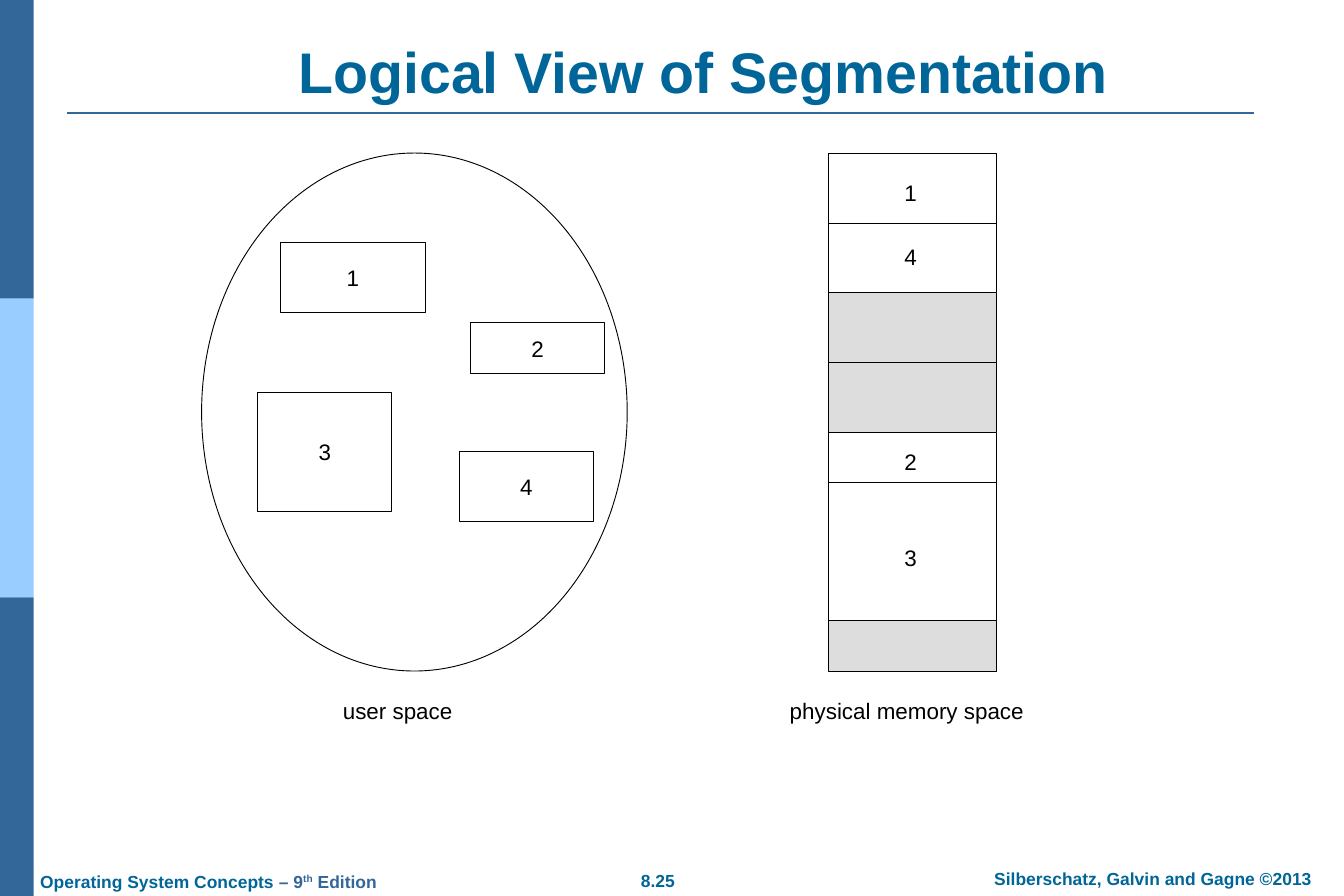
from lxml import etree
from pptx import Presentation
from pptx import util as u
from pptx.dml.color import RGBColor
from pptx.enum import shapes, text
from pptx.oxml.ns import qn

PX = 9525  # 96 px to the inch
NAVY = RGBColor(0x33, 0x66, 0x99)
SKY = RGBColor(0x99, 0xCC, 0xFF)
TEAL = RGBColor(0x00, 0x66, 0x99)
GRAY = RGBColor(0xDD, 0xDD, 0xDD)
WHITE = RGBColor(0xFF, 0xFF, 0xFF)
BLACK = RGBColor(0, 0, 0)

KIND = shapes.MSO_SHAPE
LEFT, CENTER = text.PP_ALIGN.LEFT, text.PP_ALIGN.CENTER
TOP, MIDDLE, BOTTOM = (text.MSO_ANCHOR.TOP, text.MSO_ANCHOR.MIDDLE,
                       text.MSO_ANCHOR.BOTTOM)


def scale(*sizes):
    return [size * PX for size in sizes]


def write(shape, words, size=18, color=BLACK, bold=False, align=CENTER,
          anchor=MIDDLE):
    """Set one line of text in a shape and return its paragraph."""
    frame = shape.text_frame
    frame.word_wrap = False
    frame.vertical_anchor = anchor
    frame.margin_left = frame.margin_right = 13 * PX
    frame.margin_top = frame.margin_bottom = 7 * PX
    para = frame.paragraphs[0]
    para.text = words
    para.alignment = align
    font = para.font
    font.name, font.size, font.bold = "Arial", u.Pt(size), bold
    font.color.rgb = color
    return para


def label(slide, box, words, **style):
    return write(slide.shapes.add_textbox(*scale(*box)), words, **style)


def block(slide, box, fill, edge=BLACK, kind=KIND.RECTANGLE):
    shape = slide.shapes.add_shape(kind, *scale(*box))
    shape.shadow.inherit = False
    shape.fill.solid()
    shape.fill.fore_color.rgb = fill
    if edge is None:
        shape.line.fill.background()
    else:
        shape.line.color.rgb = edge
        shape.line.width = u.Pt(0.75)
    return shape


def rule(slide, x, y, width, color=BLACK, weight=0.75):
    """Draw a level line."""
    line = slide.shapes.add_connector(
        shapes.MSO_CONNECTOR.STRAIGHT, *scale(x, y, x + width, y))
    line.line.color.rgb = color
    line.line.width = u.Pt(weight)
    etree.SubElement(line._element.spPr, qn("a:effectLst"))


def sidebar(slide, x, y, width, height):
    part = height // 3
    for row, color in enumerate((NAVY, SKY, NAVY)):
        block(slide, (x, y + row * part, width, part), color, edge=None)


def header(slide, x, y, width, height):
    label(slide, (x + 67, y, width - 43, height), "Logical View of Segmentation",
          size=46, color=TEAL, bold=True, anchor=BOTTOM)
    rule(slide, x, y + height + 2, width, NAVY, 1.5)


def footer(slide, x, y, height):
    style = dict(size=14, color=TEAL, bold=True, anchor=TOP)
    label(slide, (x + 642, y + 2, 66, height), "8.25", **style)
    label(slide, (x + 992, y, 427, height),
          "Silberschatz, Galvin and Gagne ©2013", **style)
    para = label(slide, (x, y + 3, 392, height), "Operating System Concepts",
                 align=LEFT, **style)
    for words in (" – 9", "th", " Edition"):
        run = para.add_run()
        run.text = words
        run.font.color.rgb = NAVY
        if words == "th":
            run.font._element.set("baseline", "30000")


def user_space(slide, x, y, width, height):
    block(slide, (x, y, width, height), WHITE, kind=KIND.OVAL)
    segments = (
        ("1", 84, 96, 156, 75),
        ("3", 60, 256, 144, 128),
        ("2", 288, 182, 144, 54),
        ("4", 276, 320, 144, 75),
    )
    for name, dx, dy, wide, high in segments:
        write(block(slide, (x + dx, y + dy, wide, high), WHITE), name)
    label(slide, (x + 137, y + height + 21, 146, 43), "user space")


def memory(slide, x, y, width, height):
    # top, height, fill, distance from the top to the dividing line
    areas = (
        (0, 150, WHITE, 75),
        (149, 150, GRAY, 75),
        (299, 202, WHITE, 54),
        (501, height - 501, GRAY, None),
    )
    for top, high, fill, cut in areas:
        block(slide, (x, y + top, width, high), fill)
        if cut:
            rule(slide, x, y + top + cut, width)
    for name, mid in (("1", 42), ("4", 111), ("2", 330), ("3", 433)):
        label(slide, (x + 68, y + mid - 19, 33, 38), name)
    label(slide, (x - 57, y + height + 21, 281, 43), "physical memory space")


def main():
    deck = Presentation()
    deck.slide_width, deck.slide_height = scale(1440, 960)
    slide = deck.slides.add_slide(deck.slide_layouts[6])
    sidebar(slide, 0, 0, 36, 960)
    header(slide, 72, 38, 1272, 81)
    user_space(slide, 216, 164, 456, 555)
    memory(slide, 888, 164, 180, 555)
    footer(slide, 30, 923, 36)
    deck.save("out.pptx")


if __name__ == "__main__":
    main()
